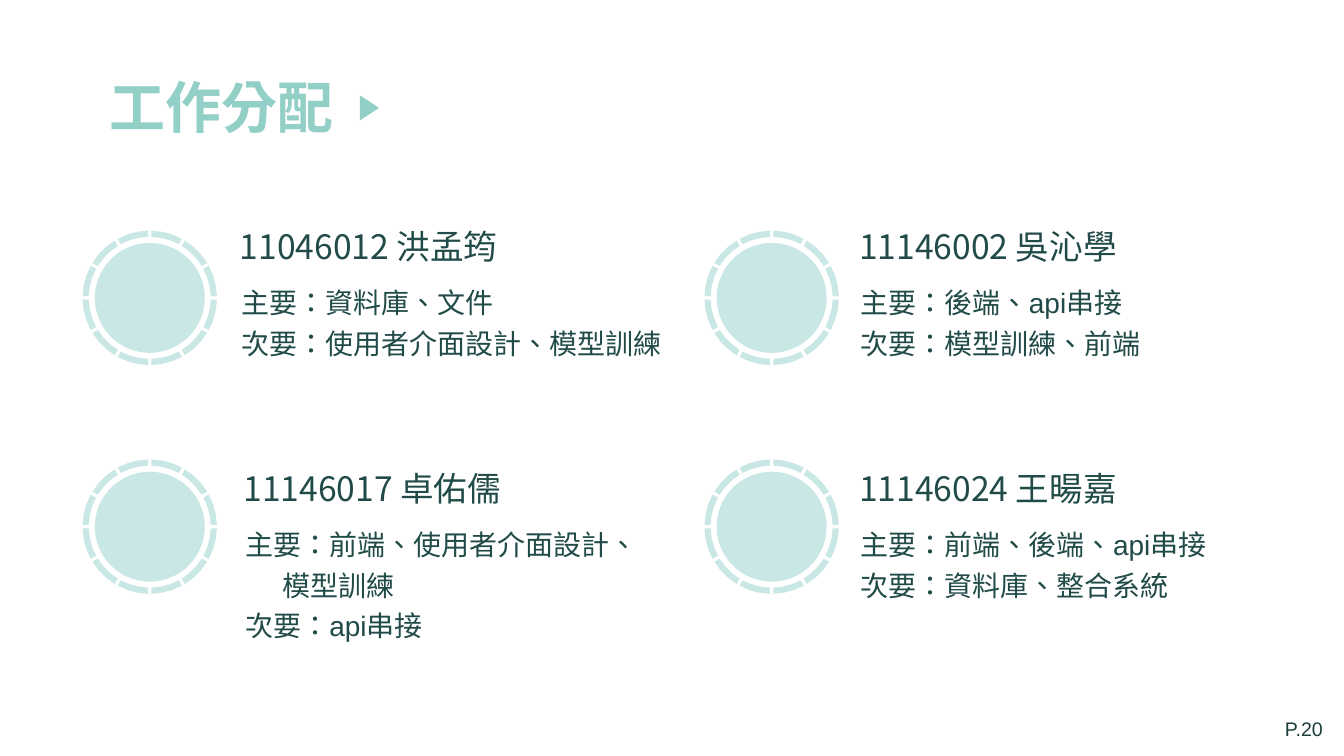
"""Build the work assignment slide: four members, each with a dashed ring and duties."""
from math import asin, cos, pi, sin

from lxml import etree
from pptx import Presentation
from pptx.dml.color import RGBColor
from pptx.enum.shapes import MSO_SHAPE
from pptx.oxml.ns import qn
from pptx.util import Pt

OVAL = MSO_SHAPE.OVAL
TRIANGLE = MSO_SHAPE.ISOSCELES_TRIANGLE
CJK_FONT = "Noto Sans CJK TC"
PALE, MINT, DARK, INK = "C9E7E5", "92CFC7", "214B48", "1B3D3B"
DISC_RADIUS, INNER_RADIUS, OUTER_RADIUS = 39.25, 43.6, 48
SEGMENTS, HALF_GAP, ARC_STEPS = 12, 1.2, 3
CONTINUATION_INDENT = 26.5


def paint(shape, color):
    """Give a shape a flat fill without line or shadow."""
    shape.shadow.inherit = False
    shape.fill.solid()
    shape.fill.fore_color.rgb = RGBColor.from_string(color)
    shape.line.fill.background()


def add_text(left, top, width, height, lines, size, color, font=CJK_FONT, bold=False, wrap=True, spacing=None):
    """Add a text box with one paragraph per (text, indent) pair."""
    box = page.shapes.add_textbox(Pt(left), Pt(top), Pt(width), Pt(height))
    frame = box.text_frame
    frame.word_wrap = wrap
    for index, (text, indent) in enumerate(lines):
        para = frame.add_paragraph() if index else frame.paragraphs[0]
        para.line_spacing = spacing
        if indent:
            para._p.get_or_add_pPr().set("marL", str(Pt(indent)))
        span = para.add_run()
        span.text = text
        span.font.size = Pt(size)
        span.font.bold = bold
        span.font.name = font
        span.font.color.rgb = RGBColor.from_string(color)
        span._r.rPr.set("lang", "zh-TW")
        etree.SubElement(span._r.rPr, qn("a:ea")).set("typeface", CJK_FONT)


deck = Presentation()
deck.slide_width, deck.slide_height = Pt(960), Pt(540)
page = deck.slides.add_slide(deck.slide_layouts[6])

add_text(910.8, 508.3, 53.3, 24.5, [("P.20", 0)], 14, INK, font="Arial", wrap=False)
add_text(71.3, 48.2, 178, 58.3, [("工作分配", 0)], 40, MINT, bold=True)

arrow = page.shapes.add_shape(TRIANGLE, Pt(254.9), Pt(70.2), Pt(18), Pt(13.7))
arrow.rotation = 90
paint(arrow, MINT)

members = [
    (107, 212.8, 164.2, 157.7, 318, 74.9, "11046012 洪孟筠",
     [("主要：資料庫、文件", 0), ("次要：使用者介面設計、模型訓練", 0)]),
    (551.2, 212.8, 606.6, 157.7, 314.6, 74.9, "11146002 吳沁學",
     [("主要：後端、api串接", 0), ("次要：模型訓練、前端", 0)]),
    (107, 376.2, 167, 330.5, 294, 96.5, "11146017 卓佑儒",
     [("主要：前端、使用者介面設計、", 0), ("模型訓練", CONTINUATION_INDENT), ("次要：api串接", 0)]),
    (551.2, 376.2, 606.6, 330.5, 314.6, 74.9, "11146024 王暘嘉",
     [("主要：前端、後端、api串接", 0), ("次要：資料庫、整合系統", 0)]),
]

for center_x, center_y, left, top, width, height, member, duties in members:
    disc = page.shapes.add_shape(
        OVAL, Pt(center_x - DISC_RADIUS), Pt(center_y - DISC_RADIUS), Pt(2 * DISC_RADIUS), Pt(2 * DISC_RADIUS))
    paint(disc, PALE)
    ring = page.shapes.add_group_shape()
    for segment in range(SEGMENTS):
        arcs = []
        for radius in (OUTER_RADIUS, INNER_RADIUS):
            trim = asin(HALF_GAP / radius)
            first = segment * 2 * pi / SEGMENTS + trim
            sweep = 2 * pi / SEGMENTS - 2 * trim
            angles = [first + sweep * step / ARC_STEPS for step in range(ARC_STEPS + 1)]
            arcs.append([(Pt(center_x + radius * cos(a)), Pt(center_y + radius * sin(a))) for a in angles])
        outline = arcs[0] + arcs[1][::-1]
        builder = ring.shapes.build_freeform(*outline[0], scale=1.0)
        builder.add_line_segments(outline[1:], close=True)
        paint(builder.convert_to_shape(), PALE)

    add_text(left, top, 223.9, 28.8, [(member, 0)], 24, DARK)
    add_text(left + 1, top + 38.2, width, height, duties, 20, DARK, font="Arial", spacing=1.2)

deck.save("out.pptx")
